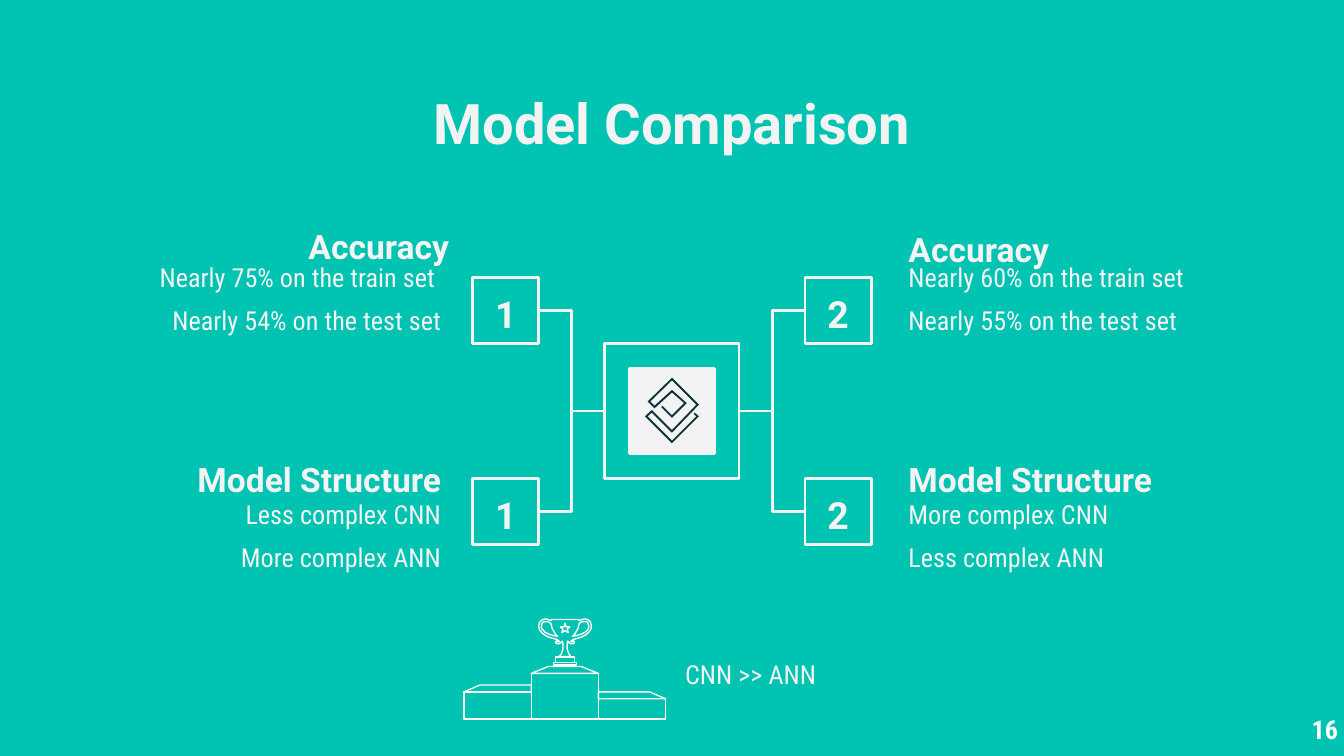
import math

import lxml.etree
import pptx
import pptx.dml.color
import pptx.enum.shapes
import pptx.enum.text
import pptx.oxml.ns
import pptx.util

Cm = pptx.util.Cm
RGBColor = pptx.dml.color.RGBColor
ALIGN = pptx.enum.text.PP_ALIGN
ANCHOR = pptx.enum.text.MSO_ANCHOR
RECTANGLE = pptx.enum.shapes.MSO_SHAPE.RECTANGLE

TEAL = RGBColor(0x00, 0xC3, 0xB1)
PALE = RGBColor(0xF3, 0xF3, 0xF3)
NEAR_WHITE = RGBColor(0xFD, 0xFD, 0xFD)
WHITE = RGBColor(0xFF, 0xFF, 0xFF)
NAVY = RGBColor(0x0C, 0x34, 0x3D)
HEAD_FONT, BODY_FONT = "Roboto", "Roboto Condensed"

TITLE = "Model Comparison"
HEADINGS = [
    ("Accuracy", 2.54, 4.14, 6.2, ALIGN.RIGHT, ANCHOR.MIDDLE),
    ("Accuracy", 16.92, 4.19, 6.1, ALIGN.LEFT, ANCHOR.MIDDLE),
    ("Model Structure", 2.39, 8.43, 6.2, ALIGN.RIGHT, ANCHOR.TOP),
    ("Model Structure", 16.92, 8.43, 6.1, ALIGN.LEFT, ANCHOR.TOP),
]
DETAILS = [
    (["Nearly 75% on the train set ", "Nearly 54% on the test set"],
     2.39, 4.7, 6.2, 3.07, ALIGN.RIGHT),
    (["Nearly 60% on the train set", "Nearly 55% on the test set"],
     16.92, 4.7, 6.1, 2.29, ALIGN.LEFT),
    (["Less complex CNN", "More complex ANN"], 2.39, 9.17, 6.2, 1.96, ALIGN.RIGHT),
    (["More complex CNN", "Less complex ANN"], 16.92, 9.17, 6.1, 1.96, ALIGN.LEFT),
    (["CNN >> ANN"], 12.7, 12.19, 4.17, 1.4, ALIGN.LEFT),
]
PAGE_NUMBER = "16"

HUB_X, HUB_Y, HUB_SIDE, PLATE_SIDE = 12.7, 7.77, 2.54, 1.6
NUMBER_SIDE, NUMBER_DX, NUMBER_DY = 1.25, 3.14, 1.9
SIDES = [("1", -1), ("2", 1)]

# Freeform points are hundredths of a centimetre.
DIAMOND_X = 1270
DIAMOND = [
    (0, 714), (-46, 759), (-33, 772), (0, 742), (23, 762), (0, 785), (-18, 767),
    (-20, 770), (0, 790), (28, 762), (0, 737), (-33, 767), (-41, 759), (0, 719),
    (46, 765), (0, 813), (-38, 775), (-51, 787), (0, 838), (51, 787), (43, 780),
    (41, 782), (46, 787), (0, 833), (-46, 787), (-38, 780), (0, 818), (51, 765),
]
STEP_LEFT, STEP_WIDTH, STEP_BOTTOM, LID = 877, 127, 1359, 13
STEPS = [(1308, 30, 0), (1273, 32, 32), (1321, 0, 30)]
TROPHY_X = 1068
CUP_HALF = [
    (25, 1171), (27, 1173), (32, 1171), (38, 1170), (44, 1172), (48, 1176),
    (50, 1184), (48, 1191), (44, 1196), (39, 1200), (32, 1204), (22, 1207),
    (15, 1209), (11, 1212), (13, 1214), (16, 1211), (18, 1214), (16, 1217),
    (11, 1217), (7, 1214), (5, 1212), (4, 1219), (4, 1227), (7, 1236), (11, 1241),
]
HANDLE = [
    (27, 1178), (33, 1175), (38, 1175), (42, 1176), (44, 1180), (45, 1185),
    (43, 1190), (38, 1195), (30, 1199), (23, 1201), (14, 1203), (18, 1199), (24, 1189),
]
PLINTHS = [(18, 1242, 1252), (22, 1252, 1257)]
STAR_Y, STAR_RADII = 1188, (9.5, 4)


def write(shape, lines, size, font, align, bold=False, color=PALE,
          anchor=ANCHOR.TOP, after=0):
    frame = shape.text_frame
    frame.word_wrap = True
    frame.auto_size = pptx.enum.text.MSO_AUTO_SIZE.NONE
    frame.vertical_anchor = anchor
    frame.margin_left = frame.margin_right = Cm(0.25)
    frame.margin_top = frame.margin_bottom = Cm(0.25)
    for index, line in enumerate(lines):
        para = frame.paragraphs[0] if index == 0 else frame.add_paragraph()
        para.alignment = align
        para.space_after = pptx.util.Pt(after)
        span = para.add_run()
        span.text = line
        span.font.size = pptx.util.Pt(size)
        span.font.name = font
        span.font.bold = bold
        span.font.color.rgb = color


def add_text(left, top, width, height, *args, **options):
    box = page.shapes.add_textbox(Cm(left), Cm(top), Cm(width), Cm(height))
    write(box, *args, **options)


def paint(shape, fill=None, line=None, weight=1.5):
    shape.shadow.inherit = False
    if fill is None:
        shape.fill.background()
    else:
        shape.fill.solid()
        shape.fill.fore_color.rgb = fill
    if line is None:
        shape.line.fill.background()
    else:
        shape.line.color.rgb = line
        shape.line.width = pptx.util.Pt(weight)


def add_square(center_x, center_y, side, fill=None):
    square = page.shapes.add_shape(RECTANGLE, Cm(center_x - side / 2),
                                   Cm(center_y - side / 2), Cm(side), Cm(side))
    paint(square, fill, PALE)
    return square


def add_outline(shapes, axis, contours, fill=None, line=None):
    moved = [[(axis + x, y) for x, y in contour] for contour in contours]
    builder = shapes.build_freeform(*moved[0][0], scale=Cm(0.01))
    for index, contour in enumerate(moved):
        if index:
            builder.move_to(*contour[0])
        builder.add_line_segments(contour[1:], close=True)
    paint(builder.convert_to_shape(), fill, line, 0.75)


def mirror(points):
    return [(-x, y) for x, y in reversed(points)]


deck = pptx.Presentation()
deck.slide_width, deck.slide_height = Cm(25.4), Cm(14.29)
page = deck.slides.add_slide(deck.slide_layouts[5])
page.background.fill.solid()
page.background.fill.fore_color.rgb = TEAL

title = page.shapes.title
title.left, title.top, title.width, title.height = Cm(2), Cm(1.42), Cm(21.4), Cm(1.6)
write(title, [TITLE], 30, HEAD_FONT, ALIGN.CENTER, bold=True)

for text, left, top, width, align, anchor in HEADINGS:
    add_text(left, top, width, 1.02, [text], 18, HEAD_FONT, align,
             bold=True, anchor=anchor)
for lines, left, top, width, height, align in DETAILS:
    add_text(left, top, width, height, lines, 14, BODY_FONT, align, after=6)

hub = add_square(HUB_X, HUB_Y, HUB_SIDE)
add_square(HUB_X, HUB_Y, PLATE_SIDE, PALE)
add_outline(page.shapes, DIAMOND_X, [DIAMOND], fill=NAVY)

for number, side in SIDES:
    hub_site, number_site = (1, 3) if side < 0 else (3, 1)
    for row in (-1, 1):
        square = add_square(HUB_X + side * NUMBER_DX, HUB_Y + row * NUMBER_DY, NUMBER_SIDE)
        write(square, [number], 20, HEAD_FONT, ALIGN.CENTER, bold=True)
        link = page.shapes.add_connector(pptx.enum.shapes.MSO_CONNECTOR.ELBOW, 0, 0, 0, 0)
        link.begin_connect(hub, hub_site)
        link.end_connect(square, number_site)
        link.line.color.rgb = PALE
        link.line.width = pptx.util.Pt(1.5)
        lxml.etree.SubElement(link._element.spPr, pptx.oxml.ns.qn("a:effectLst"))

podium = page.shapes.add_group_shape().shapes
for index, (top, inset_left, inset_right) in enumerate(STEPS):
    left = STEP_LEFT + index * STEP_WIDTH
    lid = [(inset_left, top - LID), (STEP_WIDTH - inset_right, top - LID),
           (STEP_WIDTH, top), (0, top)]
    front = [(0, top), (STEP_WIDTH, top), (STEP_WIDTH, STEP_BOTTOM), (0, STEP_BOTTOM)]
    for face in (lid, front):
        add_outline(podium, left, [face], line=NEAR_WHITE)

star = []
for index in range(10):
    angle, radius = math.radians(36 * index - 90), STAR_RADII[index % 2]
    star.append((radius * math.cos(angle), STAR_Y + radius * math.sin(angle)))
add_outline(podium, TROPHY_X, [CUP_HALF + mirror(CUP_HALF), HANDLE, mirror(HANDLE)],
            line=NEAR_WHITE)
add_outline(podium, TROPHY_X, [star], line=NEAR_WHITE)
for half, top, bottom in PLINTHS:
    add_outline(podium, TROPHY_X, [[(-half, top), (half, top), (half, bottom), (-half, bottom)]],
                line=NEAR_WHITE)

add_text(24.54, 13.23, 1.35, 1.22, [PAGE_NUMBER], 14, BODY_FONT, ALIGN.LEFT,
         bold=True, color=WHITE)

deck.save("out.pptx")
